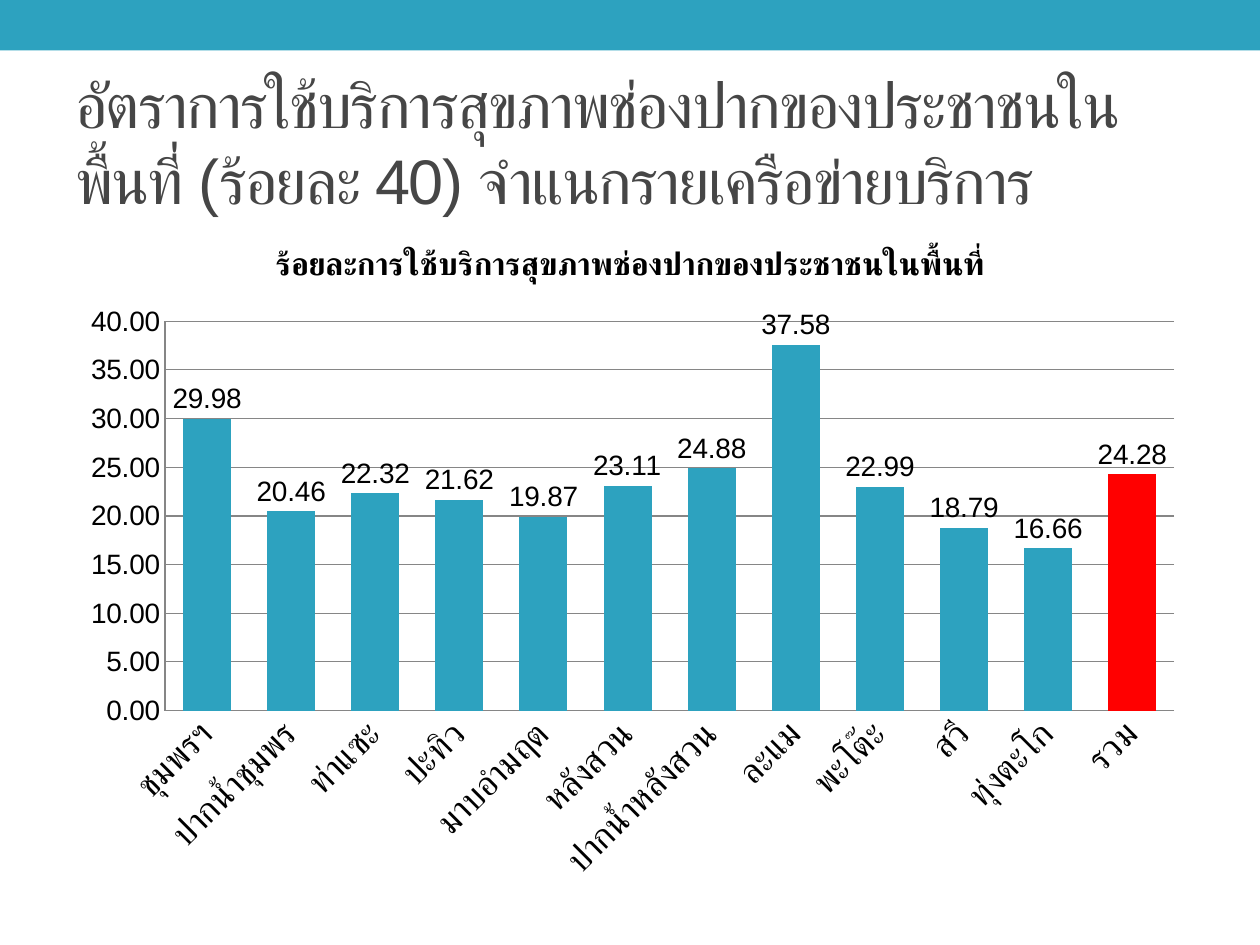
from lxml.etree import SubElement
from pptx import Presentation
from pptx.chart.data import CategoryChartData
from pptx.dml.color import RGBColor
from pptx.enum.chart import XL_CHART_TYPE, XL_LABEL_POSITION, XL_TICK_MARK
from pptx.enum.shapes import MSO_SHAPE
from pptx.enum.text import MSO_ANCHOR
from pptx.oxml.ns import qn
from pptx.util import Inches, Pt

COLORS = {"teal": "2DA2BF", "red": "FF0000", "heading": "464646",
          "black": "000000", "grid": "868686"}
FONT = "Arial"
HEADING = ("อัตราการใช้บริการสุขภาพช่องปากของประชาชนในพื้นที่ "
           "(ร้อยละ 40) จำแนกรายเครือข่ายบริการ")
RATE_TITLE = "ร้อยละการใช้บริการสุขภาพช่องปากของประชาชนในพื้นที่"
TOTAL = "รวม"
RATES = {
    "ชุมพรฯ": 29.98, "ปากน้ำชุมพร": 20.46, "ท่าแซะ": 22.32, "ปะทิว": 21.62,
    "มาบอำมฤต": 19.87, "หลังสวน": 23.11, "ปากน้ำหลังสวน": 24.88,
    "ละแม": 37.58, "พะโต๊ะ": 22.99, "สวี": 18.79, "ทุ่งตะโก": 16.66,
    TOTAL: 24.28,
}


def rgb(name):
    return RGBColor.from_string(COLORS[name])


def style_font(font, size, color="black", bold=False):
    font.name = FONT
    font.size = Pt(size)
    font.bold = bold
    font.color.rgb = rgb(color)


def add_top_band(slide, left, top, width, height):
    band = slide.shapes.add_shape(MSO_SHAPE.RECTANGLE, left, top, width, height)
    band.shadow.inherit = False
    band.fill.solid()
    band.fill.fore_color.rgb = rgb("teal")
    band.line.fill.background()


def add_heading(slide, left, top, width, height):
    frame = slide.shapes.add_textbox(left, top, width, height).text_frame
    frame.word_wrap = True
    frame.vertical_anchor = MSO_ANCHOR.MIDDLE
    frame.text = HEADING
    run = frame.paragraphs[0].runs[0]
    style_font(run.font, 36, "heading")
    run.font._element.set("spc", "-100")


def set_plot_layout(chart, **fractions):
    """Fix the inner plot area as fractions of the chart."""
    plot_area = chart._chartSpace.chart.plotArea
    for old in plot_area.findall(qn("c:layout")):
        plot_area.remove(old)
    layout = SubElement(plot_area, qn("c:layout"))
    plot_area.insert(0, layout)
    manual = SubElement(layout, qn("c:manualLayout"))
    settings = {"layoutTarget": "inner", "xMode": "edge", "yMode": "edge", **fractions}
    for tag, value in settings.items():
        SubElement(manual, qn(f"c:{tag}")).set("val", str(value))


def style_axes(chart):
    categories, values = chart.category_axis, chart.value_axis
    for axis, size in ((categories, 20), (values, 16)):
        axis.major_tick_mark = axis.minor_tick_mark = XL_TICK_MARK.NONE
        axis.format.line.color.rgb = rgb("grid")
        style_font(axis.tick_labels.font, size)
    slanted = categories._element.find(qn("c:txPr")).find(qn("a:bodyPr"))
    slanted.set("rot", "-2700000")
    slanted.set("vert", "horz")
    values.minimum_scale, values.maximum_scale, values.major_unit = 0, 40, 5
    values.tick_labels.number_format = "0.00"
    values.tick_labels.number_format_is_linked = False
    values.has_major_gridlines = True
    values.major_gridlines.format.line.color.rgb = rgb("grid")


def add_rate_chart(slide, left, top, width, height):
    data = CategoryChartData(number_format="0.00")
    data.categories = list(RATES)
    data.add_series(RATE_TITLE, RATES.values())
    chart = slide.shapes.add_chart(
        XL_CHART_TYPE.COLUMN_CLUSTERED, left, top, width, height, data).chart
    style_font(chart.font, 10)
    chart.has_legend = False
    chart.has_title = True
    title = chart.chart_title.text_frame
    title.text = RATE_TITLE
    style_font(title.paragraphs[0].runs[0].font, 18, bold=True)
    style_axes(chart)
    set_plot_layout(chart, x=0.09, y=0.15, w=0.89, h=0.58)

    plot = chart.plots[0]
    plot.vary_by_categories = False
    plot.gap_width, plot.overlap = 75, 40
    rates = plot.series[0]
    rates.format.fill.solid()
    rates.format.fill.fore_color.rgb = rgb("teal")
    total_fill = rates.points[list(RATES).index(TOTAL)].format.fill
    total_fill.solid()
    total_fill.fore_color.rgb = rgb("red")
    labels = rates.data_labels
    labels.show_value = True
    labels.position = XL_LABEL_POSITION.OUTSIDE_END
    labels.number_format = "0.00"
    labels.number_format_is_linked = False
    style_font(labels.font, 16)


def main():
    deck = Presentation()
    deck.slide_width, deck.slide_height = Inches(10), Inches(7.5)
    slide = deck.slides.add_slide(deck.slide_layouts[6])
    add_top_band(slide, 0, 0, deck.slide_width, Inches(0.4))
    add_heading(slide, Inches(0.5), Inches(0.58), Inches(9), Inches(1.08))
    add_rate_chart(slide, Inches(0.5), Inches(1.75), Inches(9), Inches(5.33))
    deck.save("out.pptx")


if __name__ == "__main__":
    main()
